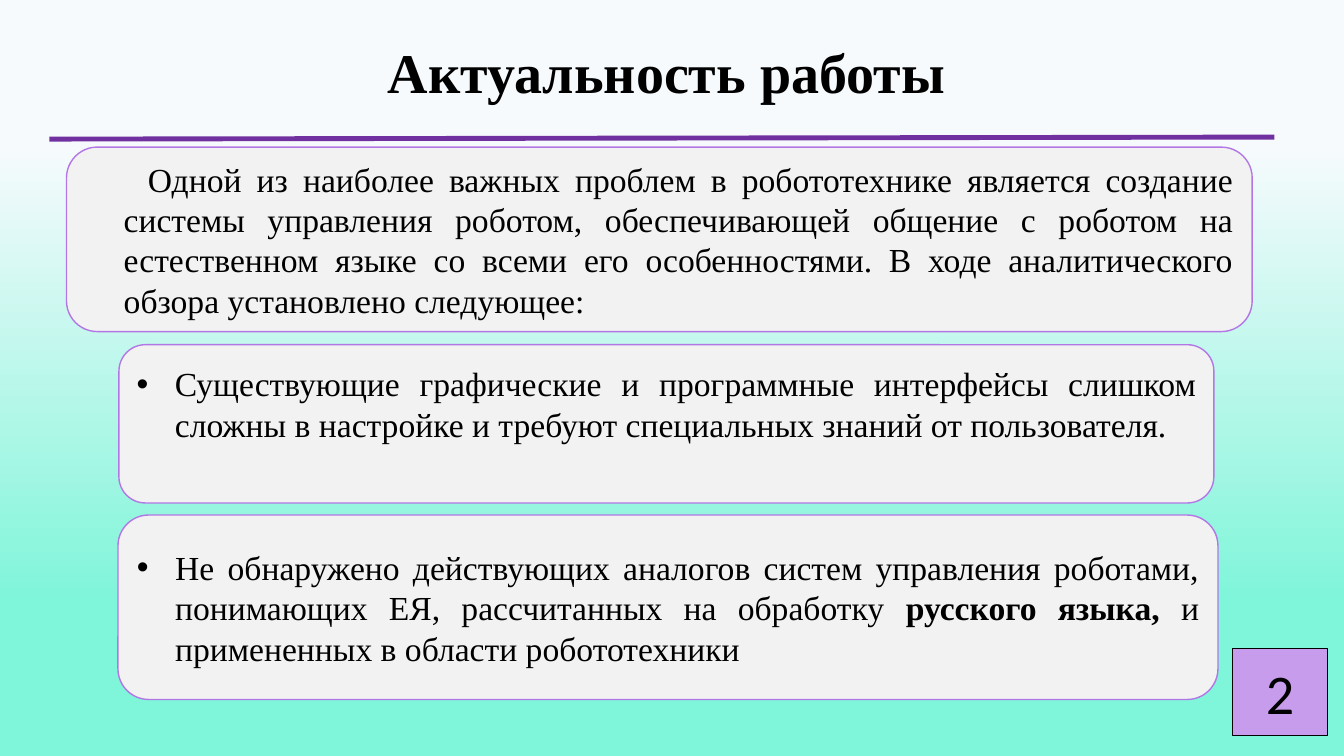
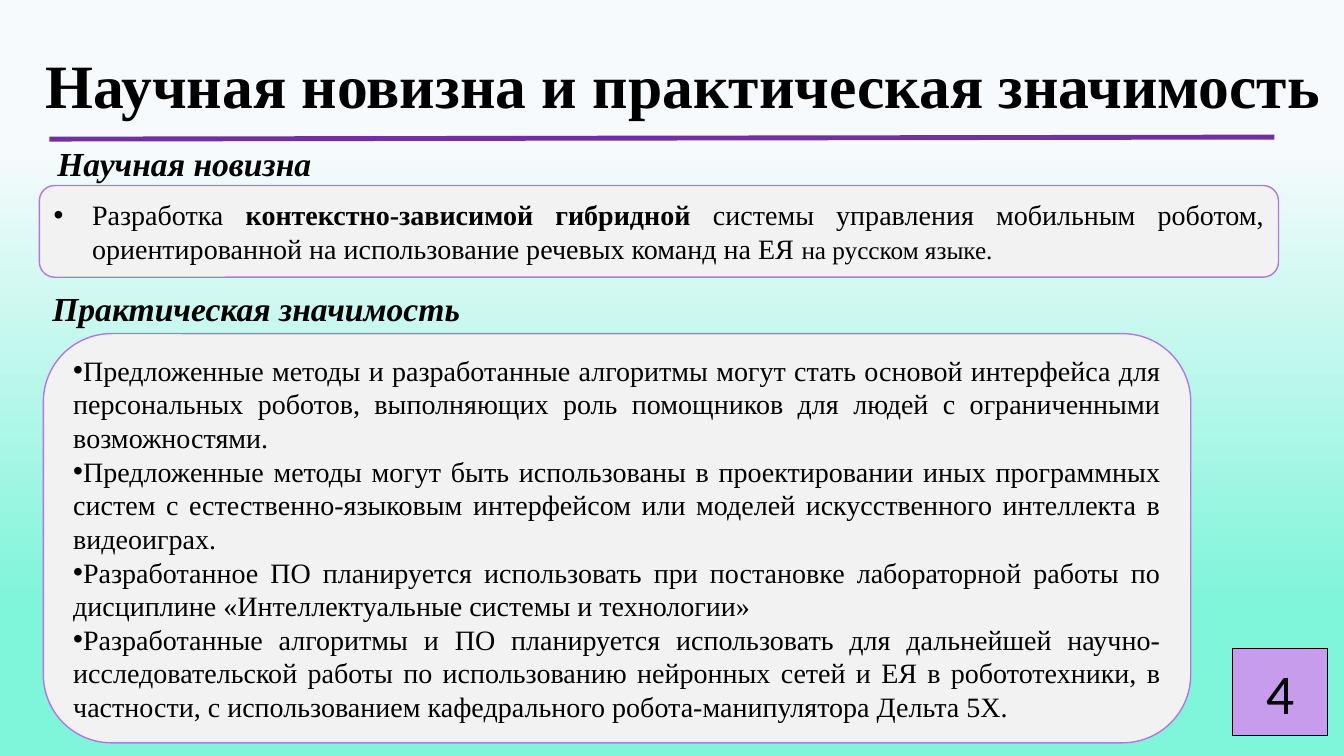
from pptx import Presentation
from pptx.dml.color import RGBColor
from pptx.enum.shapes import MSO_CONNECTOR, MSO_SHAPE
from pptx.enum.text import MSO_ANCHOR, MSO_AUTO_SIZE, PP_ALIGN
from pptx.oxml.ns import qn
from pptx.util import Inches, Pt

ROUND, RECT = MSO_SHAPE.ROUNDED_RECTANGLE, MSO_SHAPE.RECTANGLE
LINE = MSO_CONNECTOR.STRAIGHT
MIDDLE, BOTTOM = MSO_ANCHOR.MIDDLE, MSO_ANCHOR.BOTTOM
LEFT, CENTER, JUSTIFY = PP_ALIGN.LEFT, PP_ALIGN.CENTER, PP_ALIGN.JUSTIFY
NO_FIT = MSO_AUTO_SIZE.NONE

COLORS = {
    "top": "F7FAFD", "base": "7FF5D9", "card": "F2F2F2", "edge": "B377E5",
    "rule": "7030A0", "badge": "C89CEC", "ink": "000000",
}
SERIF, SANS = "Times New Roman", "Calibri"
HANG, PLAIN, FLUSH = (0.38, -0.38, "•"), (0.38, 0.24, None), (0, 0, "•")

SLIDES = [
    {
        "title": "Актуальность работы", "box": (0.05, 0.15, 13.12, 0.95),
        "size": 40, "page": "2", "heads": [],
        "cards": [
            {"box": (0.66, 1.46, 11.76, 1.83), "size": 24, "style": PLAIN, "text": [
                [("Одной из наиболее важных проблем в робототехнике является создание системы управления роботом, обеспечивающей общение с роботом на естественном языке со всеми его особенностями. В ходе аналитического обзора установлено следующее:", {})],
            ]},
            {"box": (1.18, 3.42, 10.86, 1.57), "size": 24, "style": HANG, "foot": 0.45, "text": [
                [("Существующие графические и программные интерфейсы слишком сложны в настройке и требуют специальных знаний от пользователя.", {})],
            ]},
            {"box": (1.17, 5.11, 10.91, 1.83), "size": 24, "style": HANG, "text": [
                [("Не обнаружено действующих аналогов систем управления роботами, понимающих ЕЯ, рассчитанных на обработку ", {}),
                 ("русского языка, ", {"bold": True}),
                 ("и примененных в области робототехники", {})],
            ]},
        ],
    },
    {
        "title": "Научная новизна и практическая значимость",
        "box": (0.22, 0.31, 13.12, 0.95), "size": 44, "page": "4",
        "heads": [("Научная новизна", (0.47, 1.44, 4.68, 0.43)),
                  ("Практическая значимость", (0.42, 2.88, 4.68, 0.43))],
        "cards": [
            {"box": (0.39, 1.84, 12.29, 0.91), "size": 20, "style": HANG, "text": [
                [("Разработка ", {}),
                 ("контекстно-зависимой гибридной ", {"bold": True}),
                 ("системы управления мобильным роботом, ориентированной на использование речевых команд на ЕЯ ", {}),
                 ("на русском языке.", {"size": 18})],
            ]},
            {"box": (0.43, 3.31, 11.38, 4.06), "size": 20, "style": FLUSH, "text": [
                [("Предложенные методы и разработанные алгоритмы могут стать основой интерфейса для персональных роботов, выполняющих роль помощников для людей с ограниченными возможностями.", {})],
                [("Предложенные методы могут быть использованы в проектировании иных программных систем с естественно-языковым интерфейсом или моделей искусственного интеллекта в видеоиграх.", {})],
                [("Разработанное ПО планируется использовать при постановке лабораторной работы по дисциплине «Интеллектуальные системы и технологии»", {})],
                [("Разработанные алгоритмы и ПО планируется использовать для дальнейшей научно-исследовательской работы по использованию нейронных сетей и ЕЯ в робототехники, в частности, с использованием кафедрального робота-манипулятора Дельта 5Х.", {})],
            ]},
        ],
    },
]


def color(name):
    return RGBColor.from_string(COLORS[name])


def place(box):
    return [Inches(n) for n in box]


def style(run, size, bold=False, italic=False, face=SERIF):
    font = run.font
    font.name, font.size = face, Pt(size)
    font.bold, font.italic = bold, italic
    font.color.rgb = color("ink")


def panel(slide, kind, box, fill, edge, width):
    shape = slide.shapes.add_shape(kind, *place(box))
    shape.shadow.inherit = False
    shape.fill.solid()
    shape.fill.fore_color.rgb = color(fill)
    shape.line.color.rgb = color(edge)
    shape.line.width = Pt(width)
    frame = shape.text_frame
    frame.word_wrap = True
    frame.vertical_anchor = MIDDLE
    return frame


def indent(para, left, first, mark):
    props = para._p.get_or_add_pPr()
    props.set("marL", str(Inches(left)))
    props.set("indent", str(Inches(first)))
    if mark:
        font = props.makeelement(qn("a:buFont"), {"typeface": "Arial"})
        props.append(font)
        props.append(props.makeelement(qn("a:buChar"), {"char": mark}))


def add_card(slide, card):
    frame = panel(slide, ROUND, card["box"], "card", "edge", 1)
    frame.margin_bottom = Inches(card.get("foot", 0.05))
    for i, parts in enumerate(card["text"]):
        para = frame.add_paragraph() if i else frame.paragraphs[0]
        para.alignment = JUSTIFY
        indent(para, *card["style"])
        for text, extra in parts:
            run = para.add_run()
            run.text = text
            style(run, **{"size": card["size"], **extra})


def add_head(shape, text, box, size, align, italic=False):
    shape.left, shape.top, shape.width, shape.height = place(box)
    frame = shape.text_frame
    frame.text = text
    frame.word_wrap = True
    frame.auto_size = NO_FIT
    frame.vertical_anchor = BOTTOM
    para = frame.paragraphs[0]
    para.alignment = align
    para.line_spacing = 0.9
    style(para.runs[0], size, True, italic)


def add_rule(slide):
    rule = slide.shapes.add_connector(
        LINE, *place((0.49, 1.38, 12.64, 1.36)))
    rule.line.color.rgb = color("rule")
    rule.line.width = Pt(3.5)
    props = rule._element.spPr
    props.append(props.makeelement(qn("a:effectLst"), {}))


def add_page(slide, page):
    frame = panel(slide, RECT, (12.22, 6.43, 0.95, 0.87), "badge", "ink", 0.75)
    frame.text = page
    para = frame.paragraphs[0]
    para.alignment = CENTER
    style(para.runs[0], 40, face=SANS)


def set_back(master):
    fill = master.background.fill
    fill.gradient()
    fill.gradient_angle = 270
    stops = zip(fill.gradient_stops, (("top", 0.19), ("base", 0.8)))
    for stop, (name, pos) in stops:
        stop.color.rgb = color(name)
        stop.position = pos


def main():
    deck = Presentation()
    deck.slide_width, deck.slide_height = Inches(13.33), Inches(7.5)
    set_back(deck.slide_master)
    for data in SLIDES:
        slide = deck.slides.add_slide(deck.slide_layouts[5])
        add_head(slide.shapes.title, data["title"], data["box"],
                 data["size"], CENTER)
        add_rule(slide)
        for card in data["cards"]:
            add_card(slide, card)
        for text, box in data["heads"]:
            label = slide.shapes.add_textbox(*place(box))
            add_head(label, text, box, 24, LEFT, True)
        add_page(slide, data["page"])
    deck.save("out.pptx")


if __name__ == "__main__":
    main()
